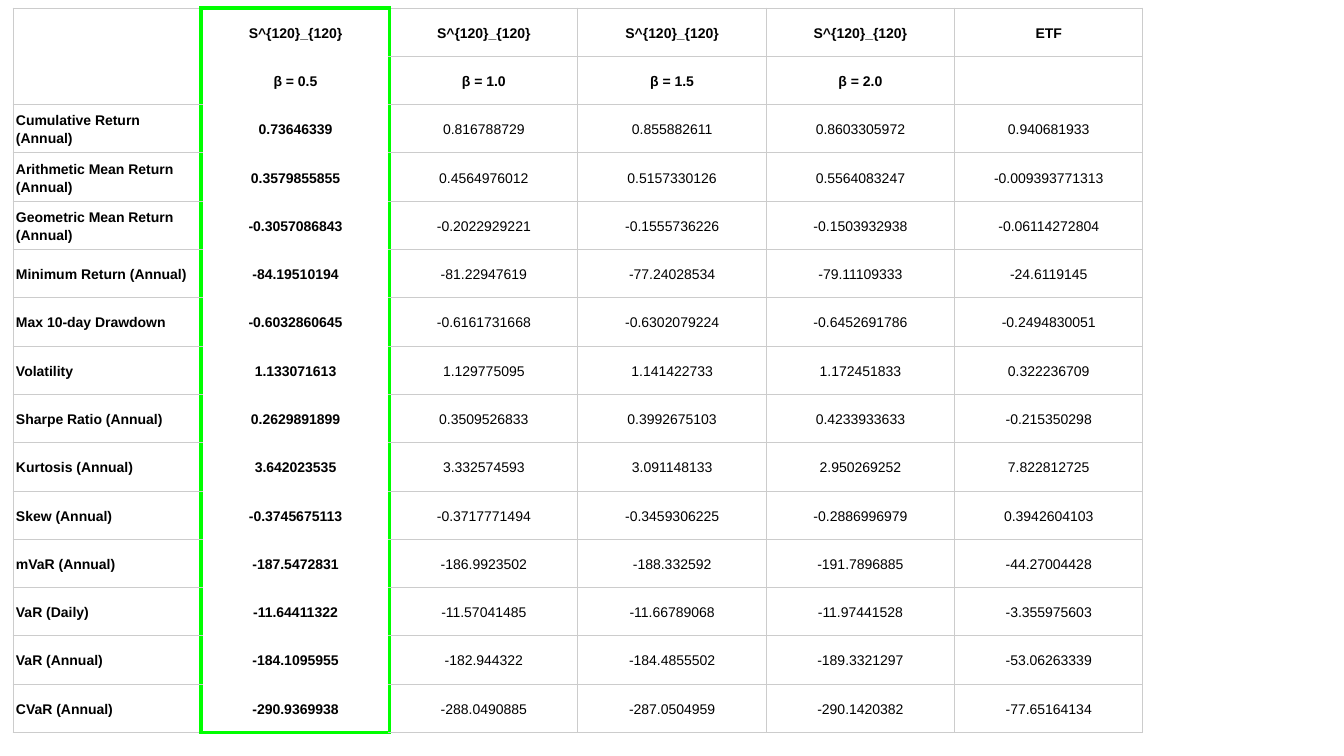
import pptx
import pptx.dml.color
import pptx.enum.text
import pptx.oxml
import pptx.oxml.ns
import pptx.util

# Content
HEADERS = [
    ("", "S^{120}_{120}", "S^{120}_{120}", "S^{120}_{120}", "S^{120}_{120}", "ETF"),
    ("", "β = 0.5", "β = 1.0", "β = 1.5", "β = 2.0", ""),
]
METRICS = [
    ("Cumulative Return (Annual)", "0.73646339", "0.816788729", "0.855882611", "0.8603305972", "0.940681933"),
    ("Arithmetic Mean Return (Annual)", "0.3579855855", "0.4564976012", "0.5157330126", "0.5564083247", "-0.009393771313"),
    ("Geometric Mean Return (Annual)", "-0.3057086843", "-0.2022929221", "-0.1555736226", "-0.1503932938", "-0.06114272804"),
    ("Minimum Return (Annual)", "-84.19510194", "-81.22947619", "-77.24028534", "-79.11109333", "-24.6119145"),
    ("Max 10-day Drawdown", "-0.6032860645", "-0.6161731668", "-0.6302079224", "-0.6452691786", "-0.2494830051"),
    ("Volatility", "1.133071613", "1.129775095", "1.141422733", "1.172451833", "0.322236709"),
    ("Sharpe Ratio (Annual)", "0.2629891899", "0.3509526833", "0.3992675103", "0.4233933633", "-0.215350298"),
    ("Kurtosis (Annual)", "3.642023535", "3.332574593", "3.091148133", "2.950269252", "7.822812725"),
    ("Skew (Annual)", "-0.3745675113", "-0.3717771494", "-0.3459306225", "-0.2886996979", "0.3942604103"),
    ("mVaR (Annual)", "-187.5472831", "-186.9923502", "-188.332592", "-191.7896885", "-44.27004428"),
    ("VaR (Daily)", "-11.64411322", "-11.57041485", "-11.66789068", "-11.97441528", "-3.355975603"),
    ("VaR (Annual)", "-184.1095955", "-182.944322", "-184.4855502", "-189.3321297", "-53.06263339"),
    ("CVaR (Annual)", "-290.9369938", "-288.0490885", "-287.0504959", "-290.1420382", "-77.65164134"),
]
ROWS = HEADERS + METRICS
CHOSEN = 1  # highlighted column

# Style
FONT = "Arial"
BLACK = pptx.dml.color.RGBColor(0x00, 0x00, 0x00)
GREY = pptx.dml.color.RGBColor(0xCC, 0xCC, 0xCC)
GREEN = pptx.dml.color.RGBColor(0x00, 0xFF, 0x00)
THIN, THICK = (GREY, 0.75), (GREEN, 3)

# Geometry in px
PX = 914400 / 100.8
SLIDE_W, SLIDE_H = 1344, 756
LEFT, TOP, WIDTH, HEIGHT = 13, 8, 1130, 725
PAD_X, PAD_Y = 3, 2


def emu(px):
    return pptx.util.Emu(round(px * PX))


def write(cell, text, bold=False, align=pptx.enum.text.PP_ALIGN.CENTER):
    cell.vertical_anchor = pptx.enum.text.MSO_ANCHOR.MIDDLE
    cell.margin_left = cell.margin_right = emu(PAD_X)
    cell.margin_top = cell.margin_bottom = emu(PAD_Y)
    p = cell.text_frame.paragraphs[0]
    p.alignment = align
    p.line_spacing = 1.15
    p.font.size = pptx.util.Pt(10)
    if text:
        r = p.add_run()
        r.text = text
        r.font.name = FONT
        r.font.size = pptx.util.Pt(10)
        r.font.bold = bold
        r.font.color.rgb = BLACK


def set_borders(cell, **edges):
    tc_pr = cell._tc.get_or_add_tcPr()
    for side in "LRTB":
        edge = edges[side]
        if edge:
            color, points = edge
            width = pptx.util.Pt(points)
            fill = f'<a:solidFill><a:srgbClr val="{color}"/></a:solidFill>'
        else:
            width, fill = 0, "<a:noFill/>"
        ns = pptx.oxml.ns.nsdecls("a")
        tc_pr.append(pptx.oxml.parse_xml(f'<a:ln{side} {ns} w="{width}">{fill}</a:ln{side}>'))


def borders_at(row, col):
    last = len(ROWS) - 1
    if col == CHOSEN:
        return dict(L=THICK, R=THICK, T=THICK if row == 0 else None, B=THICK if row == last else None)
    edges = dict(L=THIN, R=THIN, T=THIN, B=THIN)
    if col == CHOSEN - 1:
        edges["R"] = THICK
    if col == CHOSEN + 1:
        edges["L"] = THICK
    return edges


prs = pptx.Presentation()
prs.slide_width, prs.slide_height = emu(SLIDE_W), emu(SLIDE_H)
s = prs.slides.add_slide(prs.slide_layouts[6])

# Table grid
n_rows, n_cols = len(ROWS), len(ROWS[0])
table = s.shapes.add_table(n_rows, n_cols, emu(LEFT), emu(TOP), emu(WIDTH), emu(HEIGHT)).table
table.first_row = table.horz_banding = False
for column in table.columns:
    column.width = emu(WIDTH / n_cols)
for table_row in table.rows:
    table_row.height = emu(HEIGHT / n_rows)

# Cells
for row, values in enumerate(ROWS):
    for col, text in enumerate(values):
        cell = table.cell(row, col)
        is_header = row < len(HEADERS)
        align = pptx.enum.text.PP_ALIGN.LEFT if col == 0 else pptx.enum.text.PP_ALIGN.CENTER
        write(cell, text, bold=is_header or col <= CHOSEN, align=align)
        set_borders(cell, **borders_at(row, col))
        cell.fill.background()

# Empty corner beside the two header rows
table.cell(0, 0).merge(table.cell(len(HEADERS) - 1, 0))

prs.save("out.pptx")
